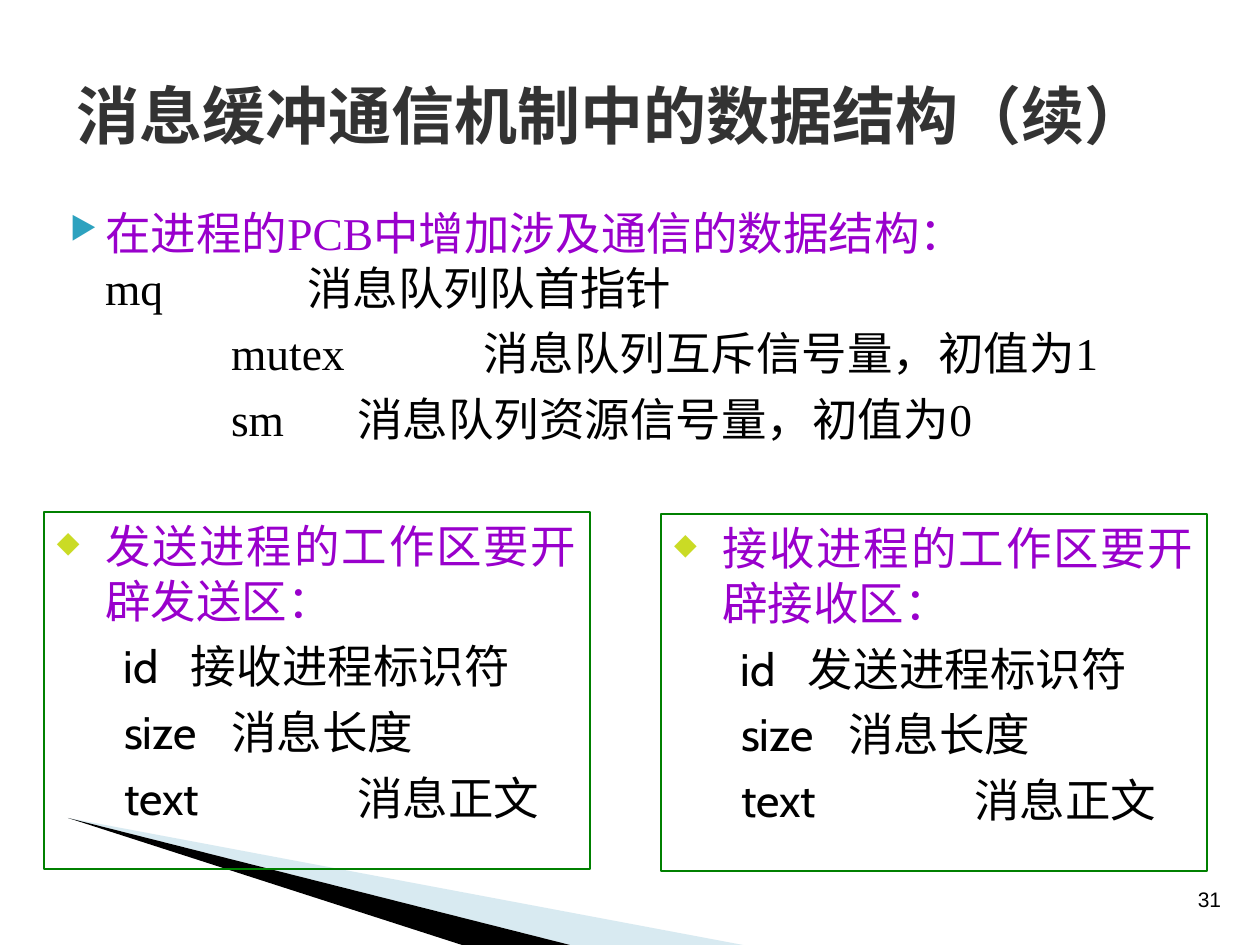
from lxml.etree import SubElement
from pptx import Presentation
from pptx.dml.color import RGBColor
from pptx.enum.shapes import MSO_SHAPE as SHAPE
from pptx.enum.text import MSO_ANCHOR as ANCHOR, PP_ALIGN as ALIGN
from pptx.oxml.ns import qn
from pptx.util import Emu, Pt

SCALE = 914400 / 126
COLORS = {
    "title": "333333", "heading": "9900CC", "text": "000000", "border": "008000",
    "arrow": "2DA2BF", "diamond": "CADB25", "pale": "9FCBDC", "wedge": "000000",
}
MESSAGE_BOXES = [
    (44, 512, "发送进程的工作区要开辟发送区：", "接收进程标识符"),
    (661, 514, "接收进程的工作区要开辟接收区：", "发送进程标识符"),
]


def px(length):
    return Emu(round(length * SCALE))


def rgb(name):
    return RGBColor.from_string(COLORS[name])


def prepare_frame(frame, anchor=ANCHOR.TOP):
    frame.word_wrap = True
    frame.vertical_anchor = anchor
    frame.margin_left = frame.margin_right = px(13)
    frame.margin_top = frame.margin_bottom = px(6)
    return frame


def add_frame(slide, left, top, width, height, anchor=ANCHOR.TOP):
    holder = slide.shapes.add_textbox(px(left), px(top), px(width), px(height))
    return prepare_frame(holder.text_frame, anchor)


def style(paragraph, font, size, color, bold=False):
    for run in paragraph.runs:
        run.font.name = font
        run.font.size = Pt(size)
        run.font.bold = bold
        run.font.color.rgb = rgb(color)


def set_indent(paragraph, start, hang):
    properties = paragraph._p.get_or_add_pPr()
    properties.set("marL", str(px(start)))
    properties.set("indent", str(px(-hang)))
    return properties


def write_heading(paragraph, text, font, start, hang, bullet, color, percent):
    paragraph.text = text
    paragraph.alignment = ALIGN.JUSTIFY
    properties = set_indent(paragraph, start, hang)
    tint = SubElement(properties, qn("a:buClr"))
    SubElement(tint, qn("a:srgbClr"), val=COLORS[color])
    SubElement(properties, qn("a:buSzPct"), val=str(percent * 1000))
    SubElement(properties, qn("a:buChar"), char=bullet)
    style(paragraph, font, 26, "heading")


def write_field(frame, field, meaning, font, field_x, meaning_x, before=6.5):
    paragraph = frame.add_paragraph()
    paragraph.text = f"{field}\t{meaning}"
    properties = set_indent(paragraph, meaning_x, meaning_x - field_x)
    SubElement(properties, qn("a:buNone"))
    stops = SubElement(properties, qn("a:tabLst"))
    SubElement(stops, qn("a:tab"), pos="0", algn="l")
    paragraph.space_before = Pt(before)
    style(paragraph, font, 26, "text")


def add_wedge(slide, points, color, alpha=100):
    builder = slide.shapes.build_freeform(*points[0], scale=SCALE)
    builder.add_line_segments(points[1:], close=True)
    wedge = builder.convert_to_shape()
    wedge.shadow.inherit = False
    wedge.fill.solid()
    wedge.fill.fore_color.rgb = rgb(color)
    wedge.line.fill.background()
    tint = wedge.fill._xPr.find(qn("a:solidFill"))[0]
    SubElement(tint, qn("a:alpha"), val=str(alpha * 1000))


def add_decoration(slide, left, top):
    tip = (left, top)
    bottom = top + 127
    add_wedge(slide, [tip, (left + 675, bottom), (left + 502, bottom)], "pale", 40)
    add_wedge(slide, [tip, (left + 502, bottom), (left + 394, bottom)], "wedge")


def add_title(slide, left, top, width, height):
    title = add_frame(slide, left, top, width, height, ANCHOR.MIDDLE).paragraphs[0]
    title.text = "消息缓冲通信机制中的数据结构（续）"
    style(title, "Noto Sans CJK SC", 36, "title", True)


def add_page_number(slide, left, top, width, height):
    number = add_frame(slide, left, top, width, height, ANCHOR.MIDDLE).paragraphs[0]
    number.text = "31"
    number.alignment = ALIGN.CENTER
    style(number, "Arial", 12, "text")


def add_pcb_fields(slide, left, top, width, height):
    font = "Times New Roman"
    frame = add_frame(slide, left, top, width, height)
    write_heading(frame.paragraphs[0], "在进程的PCB中增加涉及通信的数据结构：",
                  font, 50, 35, "▶", "arrow", 68)
    write_field(frame, "mq", "消息队列队首指针", font, 50, 252, 0)
    write_field(frame, "mutex", "消息队列互斥信号量，初值为1", font, 176, 428)
    write_field(frame, "sm", "消息队列资源信号量，初值为0", font, 176, 302)


def add_message_box(slide, left, top, width, height, heading, identifier):
    box = slide.shapes.add_shape(SHAPE.RECTANGLE, px(left), px(top), px(width), px(height))
    box.shadow.inherit = False
    box.fill.background()
    box.line.color.rgb = rgb("border")
    box.line.width = Pt(0.75)
    frame = prepare_frame(box.text_frame)
    write_heading(frame.paragraphs[0], heading, "Cabin", 48, 48, "◆", "diamond", 65)
    for field, meaning, meaning_x in [("id", identifier, 134), ("size", "消息长度", 174),
                                      ("text", "消息正文", 300)]:
        write_field(frame, field, meaning, "Cabin", 67, meaning_x)


def main():
    deck = Presentation()
    deck.slide_width, deck.slide_height = px(1260), px(945)
    slide = deck.slides.add_slide(deck.slide_layouts[6])
    add_decoration(slide, 68, 818)
    add_page_number(slide, 1149, 880, 121, 38)
    add_title(slide, 64, 35, 1134, 158)
    add_pcb_fields(slide, 42, 199, 1139, 315)
    for left, top, heading, identifier in MESSAGE_BOXES:
        add_message_box(slide, left, top, 546, 357, heading, identifier)
    deck.save("out.pptx")


if __name__ == "__main__":
    main()
